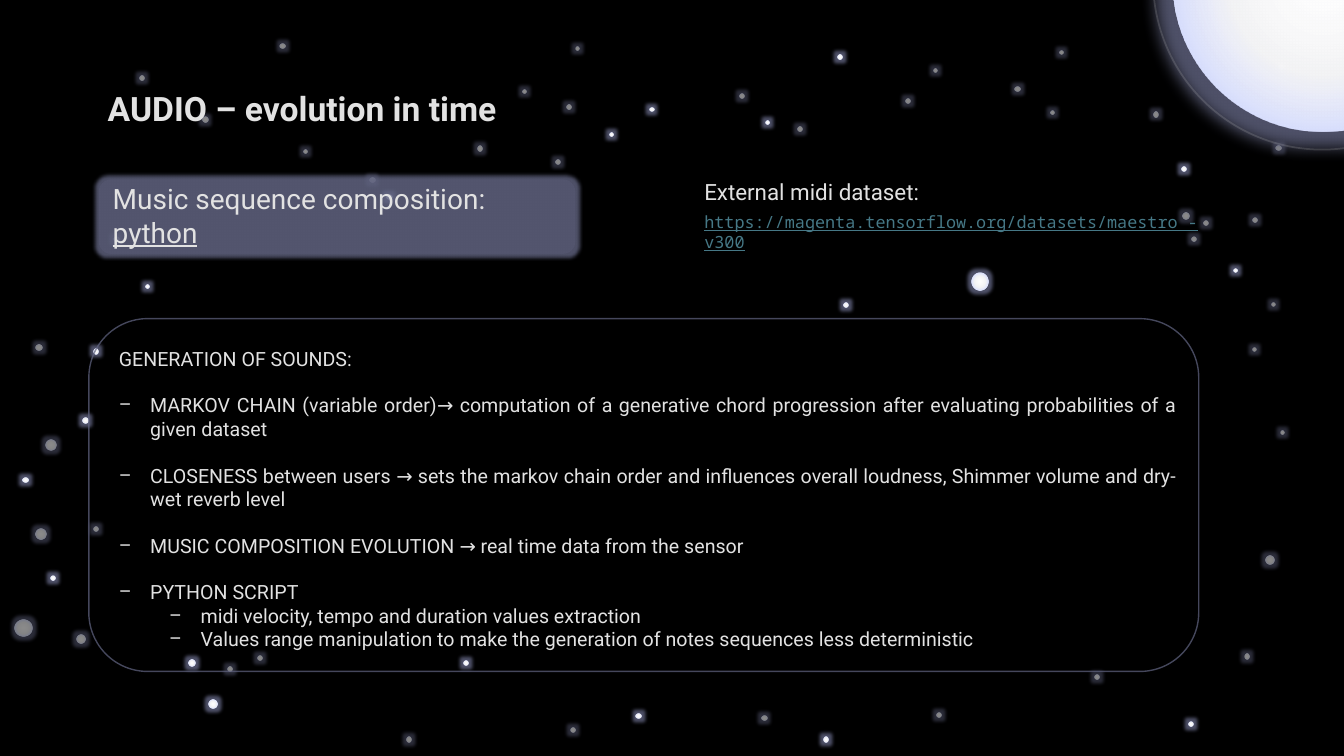
import lxml.etree
import pptx
import pptx.dml.color
import pptx.enum.shapes
import pptx.enum.text
import pptx.oxml
import pptx.oxml.ns
import pptx.util

Cm = pptx.util.Cm
Pt = pptx.util.Pt
RGBColor = pptx.dml.color.RGBColor
Preset = pptx.enum.shapes.MSO_SHAPE
Align = pptx.enum.text.PP_ALIGN
qn = pptx.oxml.ns.qn

BLACK = RGBColor(0x00, 0x00, 0x00)
WHITE = RGBColor(0xFF, 0xFF, 0xFF)
PALE_BLUE = RGBColor(0xD5, 0xDC, 0xFE)
SILVER = RGBColor(0xD9, 0xD9, 0xD9)
SLATE = RGBColor(0x62, 0x65, 0x82)
TEXT = RGBColor(0xE2, 0xE2, 0xE2)
LINK = RGBColor(0x46, 0x78, 0x86)

WIDTH, HEIGHT = 33.87, 19.05
# Stops of the light: position, colour, opacity, in percent
LIGHT = [(4, WHITE, 100), (44, WHITE, 93), (73, PALE_BLUE, 100), (100, SILVER, 100)]

# Diameter in cm: left and top of each star
DIM_STARS = {
    0.1: [(7.65, 3.78), (14.5, 1.17), (31.57, 8.76), (32.28, 10.85), (26.7, 1.27),
          (23.52, 1.73), (32.05, 7.62), (13.16, 2.26), (26.47, 2.79)],
    0.13: [(2.36, 13.26), (5.74, 16.79), (6.48, 16.51), (19.2, 18.03), (23.6, 17.96),
           (31.37, 16.48), (27.58, 16.99), (9.32, 4.47), (3.51, 1.91), (2.87, 5.97),
           (5.11, 2.95), (7.06, 1.09), (12.04, 3.68), (10.24, 18.57), (14.38, 18.34),
           (14, 4.01), (14.27, 2.64), (18.64, 2.36), (22.81, 2.49), (29.06, 2.82),
           (32.16, 3.66), (31.57, 5.49), (30.33, 5.56), (25.58, 2.18), (20.09, 3.18),
           (32.21, 1.63), (30.02, 5.97)],
    0.15: [(0.91, 8.69)],
    0.18: [(29.79, 5.36)],
    0.23: [(1.93, 15.98), (31.9, 14)],
    0.28: [(0.89, 13.31), (1.14, 11.07)],
    0.43: [(0.38, 15.62)],
}
BRIGHT_STARS = {
    0.1: [(15.37, 3.35), (31.09, 6.76), (19.3, 3.05), (16.38, 2.72), (3.66, 7.16)],
    0.13: [(1.27, 14.5), (2.36, 8.79), (0.58, 12.04), (29.77, 4.19), (21.11, 1.37),
           (16.03, 17.98), (9.75, 4.9), (20.75, 18.57), (29.95, 18.19),
           (11.68, 16.64), (21.26, 7.62)],
    0.15: [(2.08, 10.52)],
    0.18: [(4.75, 16.61)],
    0.23: [(5.26, 17.63)],
    0.43: [(24.49, 6.88)],
}

# Text and outline level; None stands for the heading
SOUND_LIST = [
    ("GENERATION OF SOUNDS:", None),
    ("MARKOV CHAIN (variable order)→ computation of a generative chord progression "
     "after evaluating probabilities of a given dataset", 0),
    ("CLOSENESS between users → sets the markov chain order and influences overall "
     "loudness, Shimmer volume and dry-wet reverb level", 0),
    ("MUSIC COMPOSITION EVOLUTION → real time data from the sensor", 0),
    ("PYTHON SCRIPT", 0),
    ("midi velocity, tempo and duration values extraction", 1),
    ("Values range manipulation to make the generation of notes sequences less "
     "deterministic", 1),
]


def add_child(parent, tag, **attributes):
    child = lxml.etree.SubElement(parent, qn(tag))
    for name, value in attributes.items():
        child.set(name, str(value))
    return child


def add_colour(parent, colour, opacity):
    entry = add_child(parent, "a:srgbClr", val=colour)
    add_child(entry, "a:alpha", val=opacity * 1000)


def set_opacity(format_with_solid_colour, spot, opacity):
    """Set the opacity of the colour that follows the given tag in a shape."""
    colour = format_with_solid_colour.element.spPr.find(spot + "/" + qn("a:srgbClr"))
    add_child(colour, "a:alpha", val=opacity * 1000)


def add_plain_shape(page, preset, place, fill=None, line=None, opacity=100, weight=1):
    shape = page.shapes.add_shape(preset, *[Cm(length) for length in place])
    shape.shadow.inherit = False
    solid = qn("a:solidFill")
    if fill is None:
        shape.fill.background()
    else:
        shape.fill.solid()
        shape.fill.fore_color.rgb = fill
        set_opacity(shape, solid, opacity)
    if line is None:
        shape.line.fill.background()
    else:
        shape.line.color.rgb = line
        shape.line.width = Pt(weight)
        set_opacity(shape, qn("a:ln") + "/" + solid, opacity)
    return shape


def add_glow(shape, radius, opacity):
    effects = shape.element.spPr.find(qn("a:effectLst"))
    add_colour(add_child(effects, "a:glow", rad=Pt(radius)), SLATE, opacity)


def add_light(page, left, top, size, glow=5):
    """Draw a glowing disc, used for the stars and the moon."""
    disc = add_plain_shape(page, Preset.OVAL, (left, top, size, size))
    properties = disc.element.spPr
    gradient = lxml.etree.Element(qn("a:gradFill"))
    stops = add_child(gradient, "a:gsLst")
    for position, colour, opacity in LIGHT:
        add_colour(add_child(stops, "a:gs", pos=position * 1000), colour, opacity)
    circle = add_child(gradient, "a:path", path="circle")
    add_child(circle, "a:fillToRect", l=50000, t=50000, r=50000, b=50000)
    properties.replace(properties.find(qn("a:noFill")), gradient)
    add_glow(disc, glow, 80)


def add_stars(page, stars):
    for size, places in stars.items():
        for left, top in places:
            add_light(page, left, top, size)


def prepare_box(box, place, wrap=True):
    """Place a text box or placeholder in front of all that is drawn so far."""
    box.left, box.top, box.width, box.height = [Cm(length) for length in place]
    box.element.getparent().append(box.element)
    frame = box.text_frame
    frame.word_wrap = wrap
    frame.auto_size = pptx.enum.text.MSO_AUTO_SIZE.NONE
    frame.vertical_anchor = pptx.enum.text.MSO_ANCHOR.TOP
    return box


def add_text_box(page, place):
    return prepare_box(page.shapes.add_textbox(0, 0, 0, 0), place)


def write(box, text, size, font="Roboto", colour=TEXT, bold=False, underline=False,
          align=Align.LEFT, before=0):
    """Add a paragraph, filling the empty first one if there is one."""
    frame = box.text_frame
    para = frame.add_paragraph() if frame.text else frame.paragraphs[0]
    para.alignment = align
    para.space_before = Pt(before)
    span = para.add_run()
    span.text = text
    span.font.name = font
    span.font.size = Pt(size)
    span.font.color.rgb = colour
    span.font.bold = bold
    span.font.underline = underline
    return para


def set_bullet(para, level):
    properties = para._p.get_or_add_pPr()
    if level is None:
        properties.set("marL", "0")
        properties.set("indent", "0")
        add_child(properties, "a:buNone")
        return
    para.level = level
    properties.set("marL", str(Cm(0.79 + 1.27 * level)))
    properties.set("indent", str(-Cm(0.79)))
    add_child(properties, "a:buFont", typeface="Roboto")
    add_child(properties, "a:buChar", char="–")


def main():
    deck = pptx.Presentation()
    deck.slide_width, deck.slide_height = Cm(WIDTH), Cm(HEIGHT)
    page = deck.slides.add_slide(deck.slide_layouts[1])
    page.background.fill.solid()
    page.background.fill.fore_color.rgb = BLACK

    add_stars(page, DIM_STARS)
    add_plain_shape(page, Preset.RECTANGLE, (0, 0, WIDTH, HEIGHT), fill=BLACK, opacity=45)
    add_stars(page, BRIGHT_STARS)
    add_light(page, 29.54, -4.27, 7.59, glow=23)
    add_plain_shape(page, Preset.OVAL, (29.06, -4.75, 8.52, 8.52),
                    line=SILVER, opacity=17, weight=1.25)

    sounds = prepare_box(page.placeholders[1], (2.74, 8.61, 27.18, 8.03))
    for text, level in SOUND_LIST:
        para = write(sounds, text, 14, align=Align.JUSTIFY, before=16.5 if level == 0 else 0)
        set_bullet(para, level)

    dataset = add_text_box(page, (17.5, 4.37, 12.95, 2.13))
    write(dataset, "External midi dataset:", 16)
    write(dataset, "https://magenta.tensorflow.org/datasets/maestro - v300", 12,
          font="Noto Sans Mono", colour=LINK, underline=True, before=4.7)

    title = prepare_box(page.shapes.title, (2.46, 2.08, 12.01, 1.27), wrap=False)
    write(title, "AUDIO – evolution in time", 24, bold=True)

    card = add_plain_shape(page, Preset.ROUNDED_RECTANGLE, (2.49, 4.52, 12.01, 1.88),
                           fill=SLATE, opacity=25)
    add_glow(card, 5, 80)
    composition = add_text_box(page, (2.59, 4.45, 12.01, 1.96))
    write(composition, "Music sequence composition:", 20)
    write(composition, "python", 20, underline=True)

    add_plain_shape(page, Preset.ROUNDED_RECTANGLE, (2.24, 8.03, 27.97, 8.89),
                    line=SLATE, opacity=71)
    deck.save("out.pptx")


if __name__ == "__main__":
    main()
